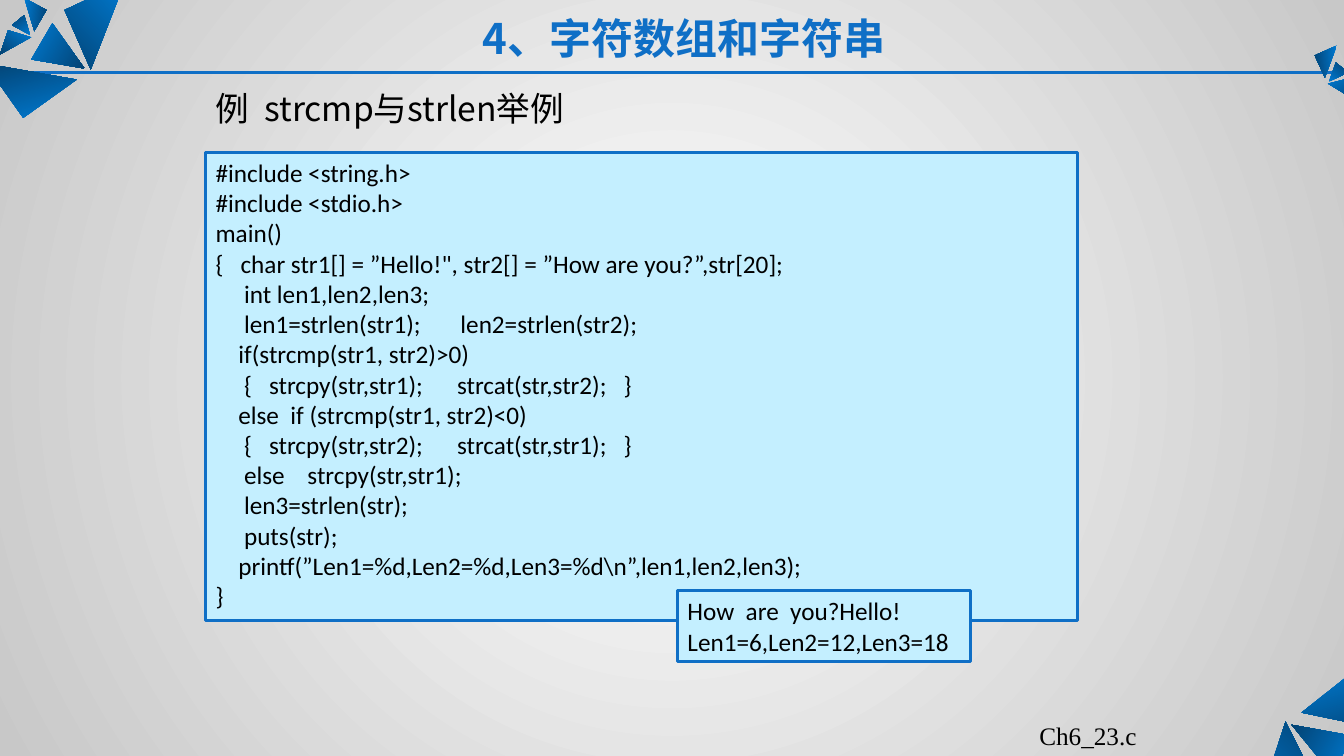
from lxml import etree
from pptx import Presentation
from pptx.dml.color import RGBColor as RGB
from pptx.enum.shapes import MSO_CONNECTOR as LINK, MSO_SHAPE as KIND
from pptx.enum.text import MSO_ANCHOR as ANCHOR, MSO_AUTO_SIZE as FIT
from pptx.enum.text import PP_ALIGN as ALIGN
from pptx.oxml import parse_xml
from pptx.oxml.ns import nsdecls, qn
from pptx.util import Inches, Pt

BLUE = RGB(0x0F, 0x6F, 0xC6)
PALE = RGB(0xC4, 0xEF, 0xFF)
BLACK = RGB(0, 0, 0)
WHITE = RGB(0xFF, 0xFF, 0xFF)
GREY = RGB(0xC8, 0xC8, 0xC8)
LIGHT = RGB(0x00, 0x7B, 0xD3)
DARK = RGB(0x03, 0x43, 0x73)
SANS = "Noto Sans CJK SC"
CODE_FONT = "Calibri"

GEMS = [
    (224.2, [(12.44, 8.11), (12.75, 7.16), (13.09, 7.83)]),
    (119.1, [(13.42, 7.3), (12.81, 7.19), (13.21, 7.68)]),
    (343.5, [(13.45, 6.64), (12.91, 7.07), (13.88, 7.27)]),
    (45.5, [(1.24, -0.18), (0.9, 0.69), (0.64, 0.1)]),
    (300.5, [(0.31, 0.59), (0.84, 0.68), (0.52, 0.23)]),
    (164.9, [(0.23, 1.17), (0.76, 0.79), (-0.15, 0.63)]),
    (38, [(0, 0.54), (0.31, 0.37), (0.08, 0.3)]),
    (143.1, [(0.24, 0.15), (0.3, 0.35), (0.12, 0.25)]),
    (278.7, [(0.46, 0.1), (0.34, 0.31), (0.24, -0.02)]),
    (325, [(13.47, 1.01), (13.17, 0.83), (13.41, 0.77)]),
    (219.9, [(13.25, 0.62), (13.18, 0.81), (13.37, 0.72)]),
    (84.3, [(13.04, 0.55), (13.14, 0.77), (13.26, 0.45)]),
]

CODE = r'''#include <string.h>
#include <stdio.h>
main()
{   char str1[] = ”Hello!", str2[] = ”How are you?”,str[20];
     int len1,len2,len3;
     len1=strlen(str1);       len2=strlen(str2);
    if(strcmp(str1, str2)>0)
     {   strcpy(str,str1);      strcat(str,str2);   }
    else  if (strcmp(str1, str2)<0)
     {   strcpy(str,str2);      strcat(str,str1);   }
     else    strcpy(str,str1);
     len3=strlen(str);
     puts(str);
    printf(”Len1=%d,Len2=%d,Len3=%d\n”,len1,len2,len3);
}'''

OUTPUT = '''How  are  you?Hello!
Len1=6,Len2=12,Len3=18'''


def blend(fill, first, last):
    fill.gradient()
    for stop, color in zip(fill.gradient_stops, (first, last)):
        stop.color.rgb = color


def backdrop(slide):
    back = slide.background
    blend(back.fill, WHITE, GREY)
    lin = next(slide.element.iter(qn("a:lin")))
    lin.getparent().replace(lin, parse_xml(
        f'<a:path {nsdecls("a")} path="circle">'
        '<a:fillToRect l="50000" t="50000" r="50000" b="50000"/></a:path>'))


def gem(slide, turn, points):
    first, *rest = [(Inches(x), Inches(y)) for x, y in points]
    path = slide.shapes.build_freeform(*first)
    path.add_line_segments(rest, close=True)
    shape = path.convert_to_shape()
    shape.shadow.inherit = False
    shape.line.fill.background()
    blend(shape.fill, LIGHT, DARK)
    shape.fill.gradient_angle = (270 - turn) % 360


def rule(slide):
    line = slide.shapes.add_connector(
        LINK.STRAIGHT, Inches(0.03), Inches(0.72), Inches(13.38), Inches(0.72))
    line.line.color.rgb = BLUE
    line.line.width = Pt(2.25)
    etree.SubElement(line.element.spPr, qn("a:effectLst"))


def write(shape, text, size, font, color=BLACK, bold=False,
          align=ALIGN.LEFT, anchor=ANCHOR.TOP, wrap=True, fit=FIT.NONE):
    frame = shape.text_frame
    frame.text = text
    frame.word_wrap = wrap
    frame.auto_size = fit
    frame.vertical_anchor = anchor
    for para in frame.paragraphs:
        para.alignment = align
        for run in para.runs:
            run.font.size = Pt(size)
            run.font.name = font
            run.font.bold = bold
            run.font.color.rgb = color
            latin = run.font._element.find(qn("a:latin"))
            latin.addnext(parse_xml(
                f'<a:ea {nsdecls("a")} typeface="{SANS}"/>'))


def panel(slide, text, *place):
    box = slide.shapes.add_shape(KIND.RECTANGLE, *map(Inches, place))
    box.shadow.inherit = False
    box.fill.solid()
    box.fill.fore_color.rgb = PALE
    box.line.color.rgb = BLUE
    box.line.width = Pt(2)
    write(box, text, 18, CODE_FONT)


def label(slide, text, place, size, font, **style):
    box = slide.shapes.add_textbox(*map(Inches, place))
    write(box, text, size, font, fit=FIT.SHAPE_TO_FIT_TEXT, **style)


def topic(slide, text):
    title = slide.shapes.title
    title.left, title.top = Inches(2.04), Inches(0.69)
    title.width, title.height = Inches(4.14), Inches(0.64)
    write(title, text, 24, SANS, anchor=ANCHOR.BOTTOM)
    title.text_frame.paragraphs[0].line_spacing = 0.9
    slide.shapes._spTree.append(title.element)


def main():
    deck = Presentation()
    deck.slide_width, deck.slide_height = Inches(13.33), Inches(7.5)
    slide = deck.slides.add_slide(deck.slide_layouts[5])
    backdrop(slide)
    rule(slide)
    for turn, points in GEMS:
        gem(slide, turn, points)
    panel(slide, CODE, 2.04, 1.51, 8.65, 4.65)
    panel(slide, OUTPUT, 6.72, 5.86, 2.91, 0.7)
    label(slide, "Ch6_23.c", (10.21, 7.1, 1.18, 0.4), 18,
          "Times New Roman", wrap=False)
    topic(slide, "例  strcmp与strlen举例")
    label(slide, "4、字符数组和字符串", (1.06, 0.08, 11.45, 0.6), 30, SANS,
          color=BLUE, bold=True, align=ALIGN.CENTER)
    deck.save("out.pptx")


if __name__ == "__main__":
    main()
